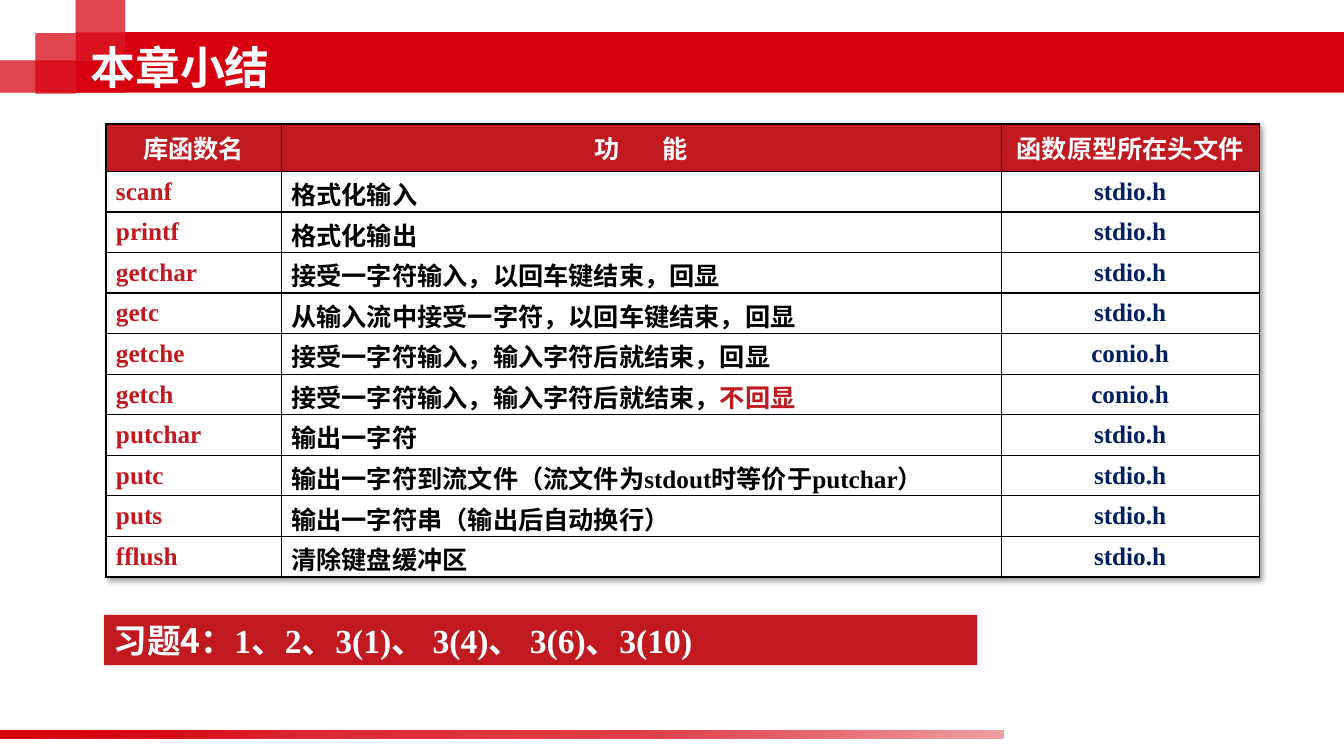
import dataclasses
import typing

import lxml.etree
import pptx
import pptx.dml.color
import pptx.enum.shapes
import pptx.enum.text
import pptx.oxml
import pptx.oxml.ns
import pptx.util

WIDTH, HEIGHT = pptx.util.Inches(13.33), pptx.util.Inches(7.5)
RED, DARK_RED, NAVY, BLACK, WHITE = "D7000F", "C01920", "002060", "000000", "FFFFFF"
HAN, LATIN = "Noto Sans CJK SC", "Times New Roman"
ALIGN, ANCHOR = pptx.enum.text.PP_ALIGN, pptx.enum.text.MSO_ANCHOR
qn = pptx.oxml.ns.qn


@dataclasses.dataclass
class Area:
    """A rectangle in percent of the slide's width and height."""
    left: float
    top: float
    width: float
    height: float

    def lengths(self) -> tuple[int, int, int, int]:
        return across(self.left), down(self.top), across(self.width), down(self.height)


@dataclasses.dataclass
class Span:
    text: str
    color: str = WHITE
    size: float = 18
    font: str = LATIN
    spacing: int = 0  # hundredths of a point between characters


class Function(typing.NamedTuple):
    name: str
    purpose: list[Span]
    header: str = "stdio.h"


def across(share: float) -> int:
    return round(WIDTH * share / 100)


def down(share: float) -> int:
    return round(HEIGHT * share / 100)


def rgb(color: str) -> pptx.dml.color.RGBColor:
    return pptx.dml.color.RGBColor.from_string(color)


def black(text: str) -> Span:
    return Span(text, BLACK)


def xml(markup: str):
    head, tail = markup.split(">", 1) if "/>" not in markup.split(">", 1)[0] + ">" else (markup[:-2], "/>")
    joiner = "" if tail == "/>" else ">"
    return pptx.oxml.parse_xml(f"{head} {pptx.oxml.ns.nsdecls('a')}{joiner}{tail}")


def write(frame, spans: list[Span], align=ALIGN.LEFT) -> None:
    para = frame.paragraphs[0]
    para.alignment = align
    for part in spans:
        span = para.add_run()
        span.text = part.text
        formats = {"size": pptx.util.Pt(part.size), "bold": True, "name": part.font}
        for key, value in formats.items():
            setattr(span.font, key, value)
        span.font.color.rgb = rgb(part.color)
        properties = span.font._element
        lxml.etree.SubElement(properties, qn("a:ea")).set("typeface", HAN)
        if part.spacing:
            properties.set("spc", str(part.spacing))


def draw_block(page, area: Area, color: str, opacity: int = 100):
    box = page.shapes.add_shape(pptx.enum.shapes.MSO_SHAPE.RECTANGLE, *area.lengths())
    box.shadow.inherit = False
    box.line.fill.background()
    box.fill.solid()
    box.fill.fore_color.rgb = rgb(color)
    if opacity < 100:
        tint = box._element.spPr.find(".//" + qn("a:srgbClr"))
        lxml.etree.SubElement(tint, qn("a:alpha")).set("val", str(opacity * 1000))
    return box


def draw_footer(page) -> None:
    box = draw_block(page, Area(-0.15, 96.67, 74.8, 1.07), RED)
    stops = "".join(
        f'<a:gs pos="{place * 1000}"><a:srgbClr val="{RED}">'
        f'<a:alpha val="{opacity * 1000}"/></a:srgbClr></a:gs>'
        for place, opacity in ((0, 100), (31, 60), (64, 50), (100, 20)))
    fade = xml(f'<a:gradFill><a:gsLst>{stops}</a:gsLst>'
               f'<a:lin ang="{40 * 60000}" scaled="0"/></a:gradFill>')
    properties = box._element.spPr
    properties.replace(properties.find(qn("a:solidFill")), fade)


def draw_tiles(page) -> None:
    for area in TILES:
        draw_block(page, area, RED, 48)


def fill_cell(cell, spans: list[Span], align, fill: str, roomy: bool = True) -> None:
    margins = (0.05, 0.05) if roomy else (0.04, 0)
    formats = {
        "margin_left": pptx.util.Inches(0.1),
        "margin_right": pptx.util.Inches(0.1),
        "margin_top": pptx.util.Inches(margins[0]),
        "margin_bottom": pptx.util.Inches(margins[1]),
        "vertical_anchor": ANCHOR.MIDDLE if roomy else ANCHOR.TOP,
    }
    for key, value in formats.items():
        setattr(cell, key, value)
    for side in "LRTB":
        cell._tc.tcPr.append(xml(
            f'<a:ln{side} w="12700"><a:solidFill><a:srgbClr val="{BLACK}"/>'
            f'</a:solidFill></a:ln{side}>'))
    cell.fill.solid()
    cell.fill.fore_color.rgb = rgb(fill)
    write(cell.text_frame, spans, align)


def draw_table(page) -> None:
    widths, heights = (13.05, 53.56, 19.2), [6.27] + [5.37] * len(FUNCTIONS)
    area = Area(7.88, 16.4, sum(widths), sum(heights))
    table = page.shapes.add_table(len(heights), len(widths), *area.lengths()).table
    table.first_row = table.horz_banding = False
    table._tbl.tblPr.insert(0, xml(
        '<a:effectLst><a:outerShdw blurRad="50800" dist="38100" dir="2700000">'
        f'<a:srgbClr val="{BLACK}"><a:alpha val="40000"/></a:srgbClr>'
        '</a:outerShdw></a:effectLst>'))
    for column, width in zip(table.columns, widths):
        column.width = across(width)
    for row, height in zip(table.rows, heights):
        row.height = down(height)
    for index, spans in enumerate(HEADINGS):
        fill_cell(table.cell(0, index), spans, ALIGN.CENTER, DARK_RED)
    for index, function in enumerate(FUNCTIONS, start=1):
        name, purpose, header = (table.cell(index, column) for column in range(3))
        fill_cell(name, [Span(function.name, DARK_RED)], ALIGN.LEFT, WHITE)
        fill_cell(purpose, function.purpose, ALIGN.LEFT, WHITE, roomy=False)
        fill_cell(header, [Span(function.header, NAVY)], ALIGN.CENTER, WHITE)


TILES = [Area(0, 8, 9.3, 4.27), Area(2.63, 4.4, 3, 8),
         Area(5.63, -0.27, 3.68, 8.27), Area(5.63, 4.27, 3.68, 3.73)]
HEADINGS = [[Span("库函数名")], [Span("功　", spacing=600), Span("能")],
            [Span("函数原型所在头文件")]]
FUNCTIONS = [
    Function("scanf", [black("格式化输入")]),
    Function("printf", [black("格式化输出")]),
    Function("getchar", [black("接受一字符输入，以回车键结束，回显")]),
    Function("getc", [black("从输入流中接受一字符，以回车键结束，回显")]),
    Function("getche", [black("接受一字符输入，输入字符后就结束，回显")], "conio.h"),
    Function("getch", [black("接受一字符输入，输入字符后就结束，"),
                       Span("不回显", DARK_RED)], "conio.h"),
    Function("putchar", [black("输出一字符")]),
    Function("putc", [black("输出一字符到流文件（流文件为stdout时等价于putchar）")]),
    Function("puts", [black("输出一字符串（输出后自动换行）")]),
    Function("fflush", [black("清除键盘缓冲区")]),
]


def main() -> None:
    deck = pptx.Presentation()
    deck.slide_width, deck.slide_height = WIDTH, HEIGHT
    page = deck.slides.add_slide(deck.slide_layouts[6])

    # Title band, with tiles under and over it, and footer strips
    draw_tiles(page)
    draw_footer(page)
    draw_block(page, Area(9.3, 4.27, 90.7, 8), RED)
    draw_tiles(page)
    draw_block(page, Area(5.63, 8, 3.68, 4.27), RED)
    draw_footer(page)

    # Library functions
    draw_table(page)

    # Exercises and title
    exercises = draw_block(page, Area(7.73, 81.33, 64.97, 6.67), DARK_RED)
    title = page.shapes.add_textbox(*Area(6, 4.4, 66.77, 8.93).lengths())
    texts = [
        (exercises, [Span("习题4：", size=24, font=HAN),
                     Span("1、2、3(1)、 3(4)、 3(6)、3(10)", size=24)]),
        (title, [Span("本章小结", size=32, font=HAN)]),
    ]
    for box, spans in texts:
        box.text_frame.word_wrap = True
        box.text_frame.vertical_anchor = ANCHOR.MIDDLE
        write(box.text_frame, spans)

    deck.save("out.pptx")


if __name__ == "__main__":
    main()
